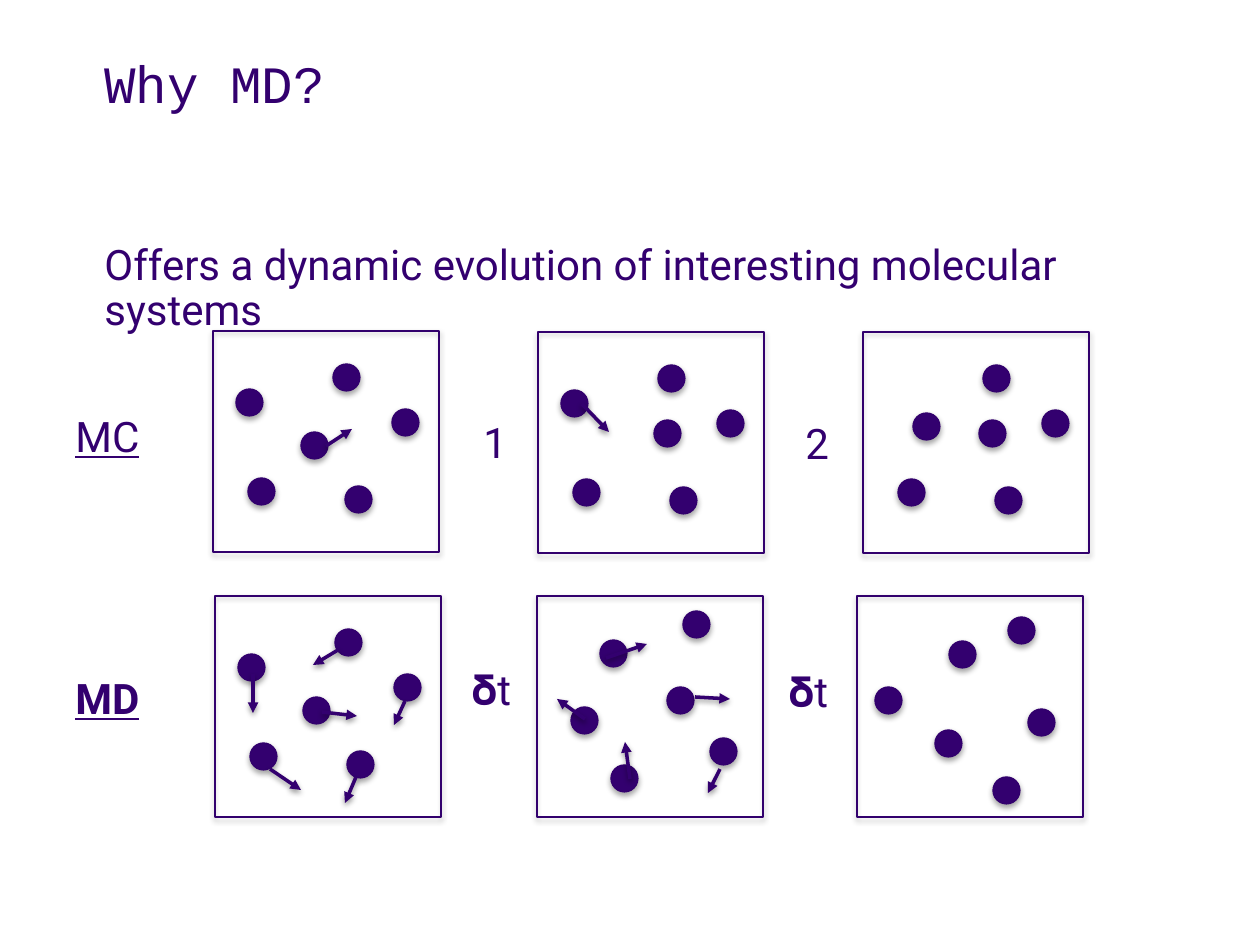
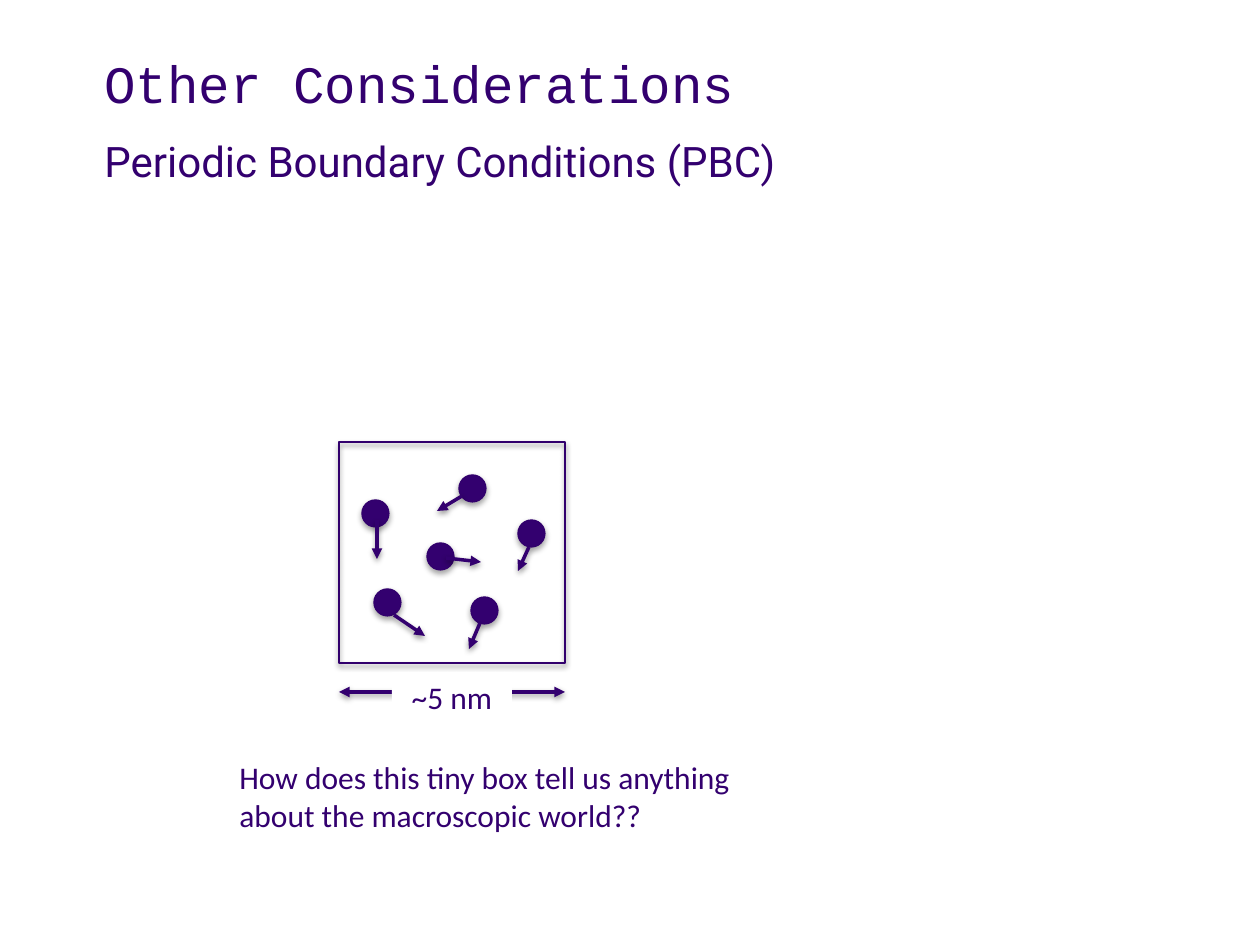
from dataclasses import dataclass

from lxml import etree
from pptx import Presentation
from pptx import util as u
from pptx.dml.color import RGBColor
from pptx.enum import shapes, text
from pptx.oxml.ns import qn

PX_PER_INCH = 126


@dataclass(frozen=True)
class Theme:
    """Colours, fonts, type sizes and line widths shared by the slides."""
    ink: str = "33006F"
    outline: str = "32006D"
    paper: str = "FFFFFF"
    shadow: str = "000000"
    title_font: str = "Courier New"
    body_font: str = "Roboto"
    note_font: str = "Calibri"
    title_size: int = 30
    body_size: int = 24
    note_size: int = 18
    thin: float = 0.75
    medium: float = 1.5
    arrow: float = 2


THEME = Theme()
BOX_W, BOX_H, PARTICLE = 226, 221, 27

START = {"top": (120, 33), "low_left": (35, 147), "low_right": (132, 155),
         "right": (179, 78), "inner": (88, 101), "left": (23, 58)}
STEP_1 = START | {"inner": (116, 88)}
STEP_2 = STEP_1 | {"left": (50, 81)}
DYNAMIC_1 = {"top": (146, 15), "low_left": (74, 169), "low_right": (173, 142),
             "right": (130, 91), "inner": (63, 44), "left": (34, 111)}
DYNAMIC_2 = {"top": (151, 21), "low_left": (78, 134), "low_right": (136, 181),
             "right": (171, 113), "inner": (92, 45), "left": (18, 91)}

INNER_MOVE = [(113, 115, 139, 98)]
LEFT_MOVE = [(44, 72, 71, 100)]
START_VELOCITIES = [(38, 78, 38, 117), (123, 54, 98, 69), (141, 181, 130, 207),
                    (190, 105, 179, 129), (55, 173, 86, 194), (107, 116, 142, 120)]
DYNAMIC_VELOCITIES = [(158, 101, 193, 103), (183, 173, 171, 197), (93, 183, 88, 146),
                      (48, 123, 20, 103), (69, 62, 110, 48)]


def px(*lengths):
    """Turn pixel lengths into EMU."""
    return [u.Emu(round(length * u.Inches(1) / PX_PER_INCH)) for length in lengths]


def apply(target, values):
    """Set each named attribute on the target."""
    for name, value in values.items():
        setattr(target, name, value)


def cast_shadow(effects, distance, opacity):
    """Put a soft downward shadow into an effect list."""
    shadow = etree.SubElement(effects, qn("a:outerShdw"), blurRad="40000",
                              dist=str(distance), dir="5400000", rotWithShape="0")
    colour = etree.SubElement(shadow, qn("a:srgbClr"), val=THEME.shadow)
    etree.SubElement(colour, qn("a:alpha"), val=str(opacity * 1000))


def write(frame, lines, font, size, align=text.PP_ALIGN.LEFT, spacing=None, **style):
    """Fill a text frame with one paragraph per line."""
    apply(frame, {"word_wrap": True, "vertical_anchor": text.MSO_ANCHOR.TOP})
    for index, line in enumerate(lines):
        paragraph = frame.add_paragraph() if index else frame.paragraphs[0]
        apply(paragraph, {"alignment": align, "line_spacing": spacing})
        run = paragraph.add_run()
        run.text = line
        apply(run.font, {"name": font, "size": u.Pt(size), **style})
        run.font.color.rgb = RGBColor.from_string(THEME.ink)


def add_text(slide, box, lines, font=THEME.body_font, size=THEME.body_size,
             spacing=0.9, **style):
    """Add a text box."""
    frame = slide.shapes.add_textbox(*px(*box)).text_frame
    write(frame, lines, font, size, spacing=spacing, **style)


def add_shape(slide, kind, box, fill=None, width=None, shadow=True):
    """Add a preset shape with optional fill, outline and shadow."""
    shape = slide.shapes.add_shape(kind, *px(*box))
    shape.shadow.inherit = False
    if fill:
        shape.fill.solid()
        shape.fill.fore_color.rgb = RGBColor.from_string(fill)
    else:
        shape.fill.background()
    if width:
        shape.line.color.rgb = RGBColor.from_string(THEME.outline)
        shape.line.width = u.Pt(width)
    else:
        shape.line.fill.background()
    if shadow:
        cast_shadow(shape._element.spPr.find(qn("a:effectLst")), 23000, 35)
    return shape


def add_arrow(slide, ends, heads=("tailEnd",)):
    """Add a straight arrow with the given arrowheads."""
    arrow = slide.shapes.add_connector(shapes.MSO_CONNECTOR.STRAIGHT, *px(*ends))
    arrow.line.color.rgb = RGBColor.from_string(THEME.ink)
    arrow.line.width = u.Pt(THEME.arrow)
    properties = arrow._element.spPr
    for head in heads:
        etree.SubElement(properties.find(qn("a:ln")), qn(f"a:{head}"), type="triangle")
    cast_shadow(etree.SubElement(properties, qn("a:effectLst")), 20000, 38)


def add_simulation_box(slide, left, top, particles, moves=(), width=THEME.thin):
    """Draw a box of particles and their moves, placed from its corner."""
    kinds = shapes.MSO_SHAPE
    add_shape(slide, kinds.RECTANGLE, (left, top, BOX_W, BOX_H), width=width)
    for x, y in particles.values():
        add_shape(slide, kinds.OVAL, (left + x, top + y, PARTICLE, PARTICLE),
                  THEME.ink, THEME.thin)
    for x1, y1, x2, y2 in moves:
        add_arrow(slide, (left + x1, top + y1, left + x2, top + y2))


def add_heading(slide, title, subtitle, subtitle_top):
    """Add the title and the line below it."""
    add_text(slide, (92, 52, 1128, 136), [title], THEME.title_font, THEME.title_size)
    add_text(slide, (92, subtitle_top, 1128, 57), [subtitle])


def add_scale(slide, left, top, label):
    """Add a double arrow as wide as a simulation box, with its length."""
    add_arrow(slide, (left, top, left + BOX_W, top), ("headEnd", "tailEnd"))
    gap = add_shape(slide, shapes.MSO_SHAPE.RECTANGLE, (left + 53, top - 20, 120, 51),
                    THEME.paper, shadow=False)
    write(gap.text_frame, [label], THEME.note_font, THEME.note_size,
          text.PP_ALIGN.CENTER)


def build_why_md(slide):
    """Compare Monte Carlo steps with molecular dynamics steps."""
    add_heading(slide, "Why MD?",
                "Offers a dynamic evolution of interesting molecular systems", 238)
    simulations = [
        (213, 331, START, INNER_MOVE), (538, 332, STEP_1, LEFT_MOVE), (863, 332, STEP_2),
        (215, 596, START, START_VELOCITIES),
        (537, 596, DYNAMIC_1, DYNAMIC_VELOCITIES), (857, 596, DYNAMIC_2)]
    for simulation in simulations:
        add_simulation_box(slide, *simulation)
    labels = [("MC", 63, 410, {"underline": True}),
              ("MD", 63, 672, {"underline": True, "bold": True}),
              ("𝛅t", 459, 663, {}), ("𝛅t", 776, 665, {}),
              ("1", 471, 416, {}), ("2", 793, 417, {})]
    for label, left, top, style in labels:
        add_text(slide, (left, top, 110 if style else 72, 57), [label], **style)


def build_considerations(slide):
    """Ask how a tiny periodic box relates to the macroscopic world."""
    add_heading(slide, "Other Considerations", "Periodic Boundary Conditions (PBC)", 135)
    left, top = 339, 442
    add_simulation_box(slide, left, top, START, START_VELOCITIES, THEME.medium)
    add_text(slide, (left - 112, top + 310, 539, 89),
             ["How does this tiny box tell us anything", "about the macroscopic world??"],
             THEME.note_font, THEME.note_size, spacing=None)
    add_scale(slide, left, top + 250, "~5 nm")


def main():
    """Build both slides and save the presentation."""
    deck = Presentation()
    apply(deck, {"slide_width": u.Inches(10), "slide_height": u.Inches(7.5)})
    for build in (build_why_md, build_considerations):
        build(deck.slides.add_slide(deck.slide_layouts[6]))
    deck.save("out.pptx")


if __name__ == "__main__":
    main()
